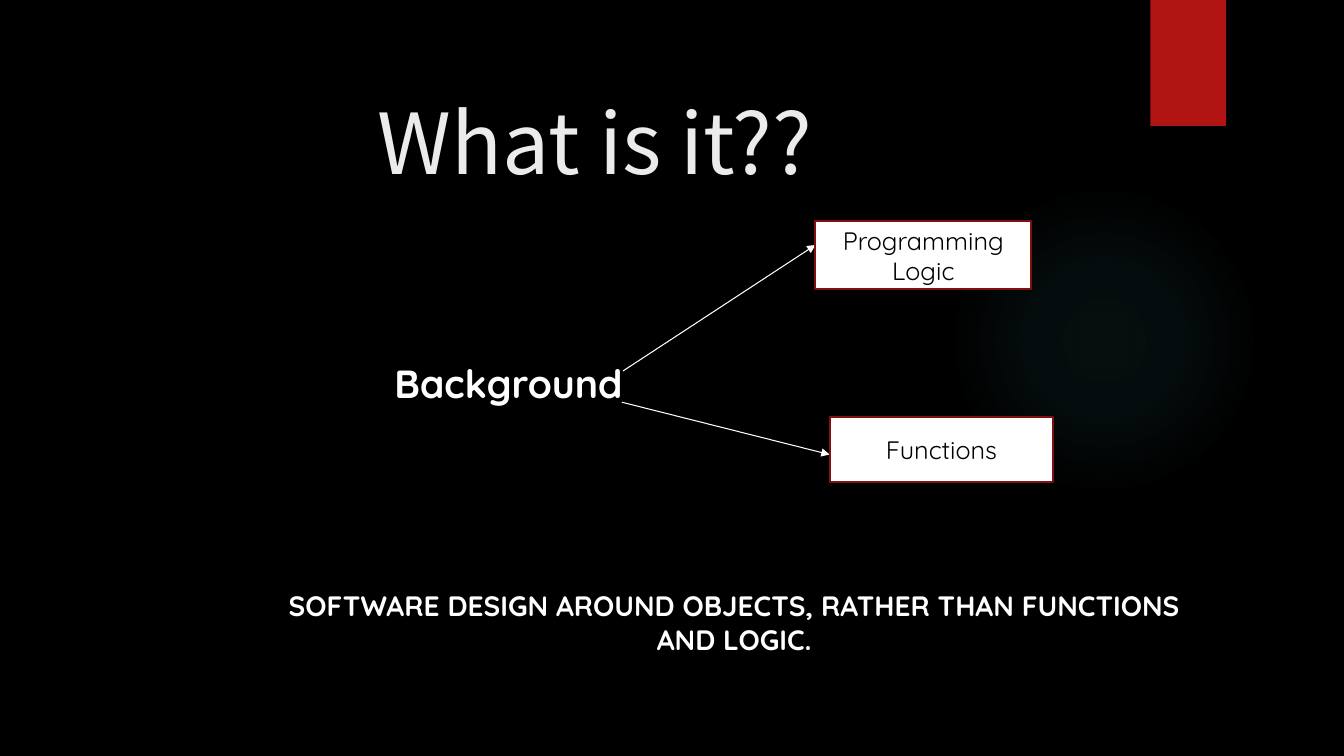
from lxml.etree import SubElement
from pptx import Presentation
from pptx.dml.color import RGBColor
from pptx.enum.shapes import MSO_CONNECTOR as CONN, MSO_SHAPE as SHAPE
from pptx.enum.text import MSO_ANCHOR as ANCHOR, PP_ALIGN as ALIGN
from pptx.oxml import parse_xml
from pptx.oxml.ns import nsdecls, qn
from pptx.util import Pt

BLACK = RGBColor(0x00, 0x00, 0x00)
WHITE = RGBColor(0xFF, 0xFF, 0xFF)
TITLE = RGBColor(0xEB, 0xEB, 0xEB)
RED = RGBColor(0xB0, 0x15, 0x13)
DARK_RED = RGBColor(0x82, 0x10, 0x0E)
TEAL = RGBColor(0x50, 0xB9, 0xC1)


class Deck:
    title_font = "Noto Sans CJK SC"
    body_font = "Quicksand"

    def __init__(self, width, height):
        self.prs = Presentation()
        self.prs.slide_width, self.prs.slide_height = Pt(width), Pt(height)

    def add_slide(self, color):
        self.s = self.prs.slides.add_slide(self.prs.slide_layouts[6])
        fill = self.s.background.fill
        fill.solid()
        fill.fore_color.rgb = color

    def shape(self, kind, box, color=None, line=None):
        sp = self.s.shapes.add_shape(kind, *map(Pt, box))
        sp.shadow.inherit = False
        if color is not None:
            sp.fill.solid()
            sp.fill.fore_color.rgb = color
        if line is None:
            sp.line.fill.background()
        else:
            sp.line.color.rgb = line
            sp.line.width = Pt(1.5)
        return sp

    def glow(self, box, color, stops):
        sp = self.shape(SHAPE.OVAL, box)
        gs = "".join(
            f'<a:gs pos="{pos * 1000}"><a:srgbClr val="{color}">'
            f'<a:alpha val="{alpha * 1000}"/></a:srgbClr></a:gs>'
            for pos, alpha in stops)
        grad = parse_xml(
            f'<a:gradFill {nsdecls("a")}><a:gsLst>{gs}</a:gsLst><a:path path="circle">'
            '<a:fillToRect l="50000" t="50000" r="50000" b="50000"/></a:path></a:gradFill>')
        sp._element.spPr.find(qn("a:prstGeom")).addnext(grad)

    def add_text(self, sp, text, size, color, font, bold=False, anchor=ANCHOR.TOP, before=0):
        tf = sp.text_frame
        tf.word_wrap = True
        tf.vertical_anchor = anchor
        p = tf.paragraphs[0]
        p.alignment = ALIGN.CENTER
        p.space_before = Pt(before)
        r = p.add_run()
        r.text = text
        r.font.size = Pt(size)
        r.font.name = font
        r.font.bold = bold
        r.font.color.rgb = color

    def title(self, text, box):
        sp = self.s.shapes.add_textbox(*map(Pt, box))
        self.add_text(sp, text, 60, TITLE, self.title_font, anchor=ANCHOR.BOTTOM)

    def statement(self, text, box, size):
        sp = self.s.shapes.add_textbox(*map(Pt, box))
        self.add_text(sp, text, size, WHITE, self.body_font, bold=True, before=10)

    def label_box(self, text, box):
        sp = self.shape(SHAPE.RECTANGLE, box, WHITE, DARK_RED)
        self.add_text(sp, text, 18, BLACK, self.body_font, anchor=ANCHOR.MIDDLE)

    def arrow(self, start, end):
        c = self.s.shapes.add_connector(CONN.STRAIGHT, *map(Pt, start + end))
        c.line.color.rgb = WHITE
        c.line.width = Pt(0.75)
        SubElement(c.line._get_or_add_ln(), qn("a:tailEnd"), type="triangle")
        SubElement(c._element.spPr, qn("a:effectLst"))


deck = Deck(960, 540)
deck.add_slide(BLACK)
deck.glow((677.5, 131.8, 221.8, 221.8), TEAL, [(0, 7), (36, 6), (69, 0)])
deck.shape(SHAPE.RECTANGLE, (821.8, 0, 54, 90), RED)
deck.title("What is it??", (244.8, 43.2, 360.7, 97.2))
deck.statement("SOFTWARE DESIGN AROUND OBJECTS, RATHER THAN FUNCTIONS AND LOGIC.",
               (177.1, 416.9, 694.8, 67.7), 20)
deck.statement("Background", (15.8, 253.4, 694.8, 67.7), 28)

branches = [
    ("Programming Logic", (582.5, 157.7, 154.1, 49), (445, 265), 175),
    ("Functions", (592.6, 298.1, 159.8, 46.1), (444.2, 287.3), 324.7),
]
for text, box, start, end_y in branches:
    deck.arrow(start, (box[0], end_y))
    deck.label_box(text, box)

deck.prs.save("out.pptx")
